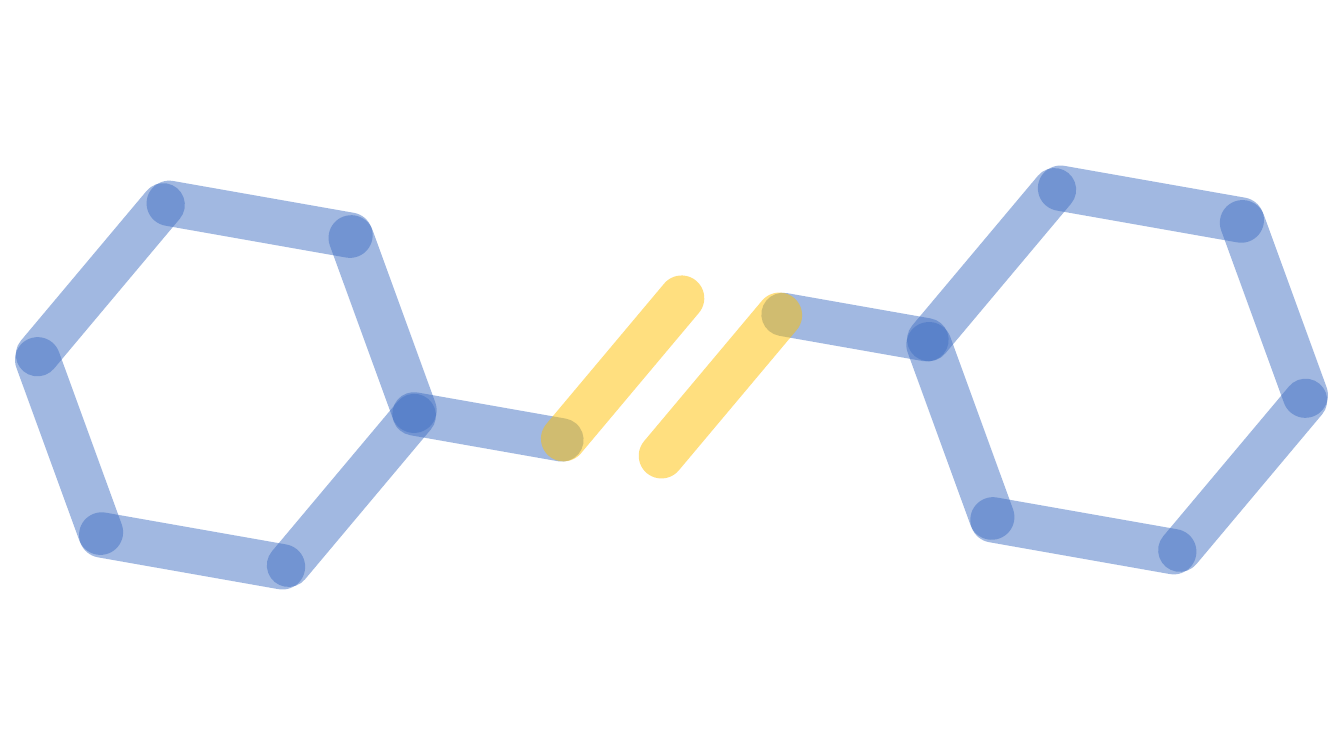
from lxml import etree
from pptx import Presentation
from pptx import util as u
from pptx.dml.color import RGBColor
from pptx.enum import shapes
from pptx.oxml import ns

PX = u.Inches(1) // 100
BLUE = RGBColor(0x44, 0x72, 0xC4)
GOLD = RGBColor(0xFF, 0xC0, 0x00)


def add_bar(group, left, top, width, height, turn, color):
    bar = group.shapes.add_shape(
        shapes.MSO_SHAPE.ROUNDED_RECTANGLE,
        left * PX, top * PX, width * PX, height * PX)
    bar.adjustments[0] = 0.5
    bar.rotation = turn
    bar.shadow.inherit = False
    bar.line.fill.background()
    bar.fill.solid()
    bar.fill.fore_color.rgb = color
    tint = bar.fill._xPr.find(".//" + ns.qn("a:srgbClr"))
    etree.SubElement(tint, ns.qn("a:alpha"), val="50000")


def add_bridge(slide, left, top):
    group = slide.shapes.add_group_shape()
    for x, y, width, height, turn, color in (
        (366, 0, 188, 43, 190, BLUE),
        (0, 99, 192, 43, 190, BLUE),
        (116, 40, 227, 45, 130, GOLD),
        (213, 57, 227, 45, 130, GOLD),
    ):
        add_bar(group, left + x, top + y, width, height, turn, color)


def add_ring(slide, left, top, width, height):
    group = slide.shapes.add_group_shape()
    mid_x, mid_y = left + width // 2, top + height // 2
    for x, y, long, thick, turn in (
        (-243, -126, 237, 43, 130),
        (-80, -187, 227, 45, 190),
        (-269, 38, 227, 45, 70),
    ):
        add_bar(group, mid_x + x, mid_y + y, long, thick, turn, BLUE)
        add_bar(group, mid_x - x - long, mid_y - y - thick,
                long, thick, turn, BLUE)


def main():
    deck = Presentation()
    deck.slide_width = u.Inches(13.33)
    deck.slide_height = u.Inches(7.5)
    slide = deck.slides.add_slide(deck.slide_layouts[6])
    add_bridge(slide, 388, 303)
    for left, top in ((15, 180), (899, 165)):
        add_ring(slide, left, top, 418, 404)
    deck.save("out.pptx")


if __name__ == "__main__":
    main()
